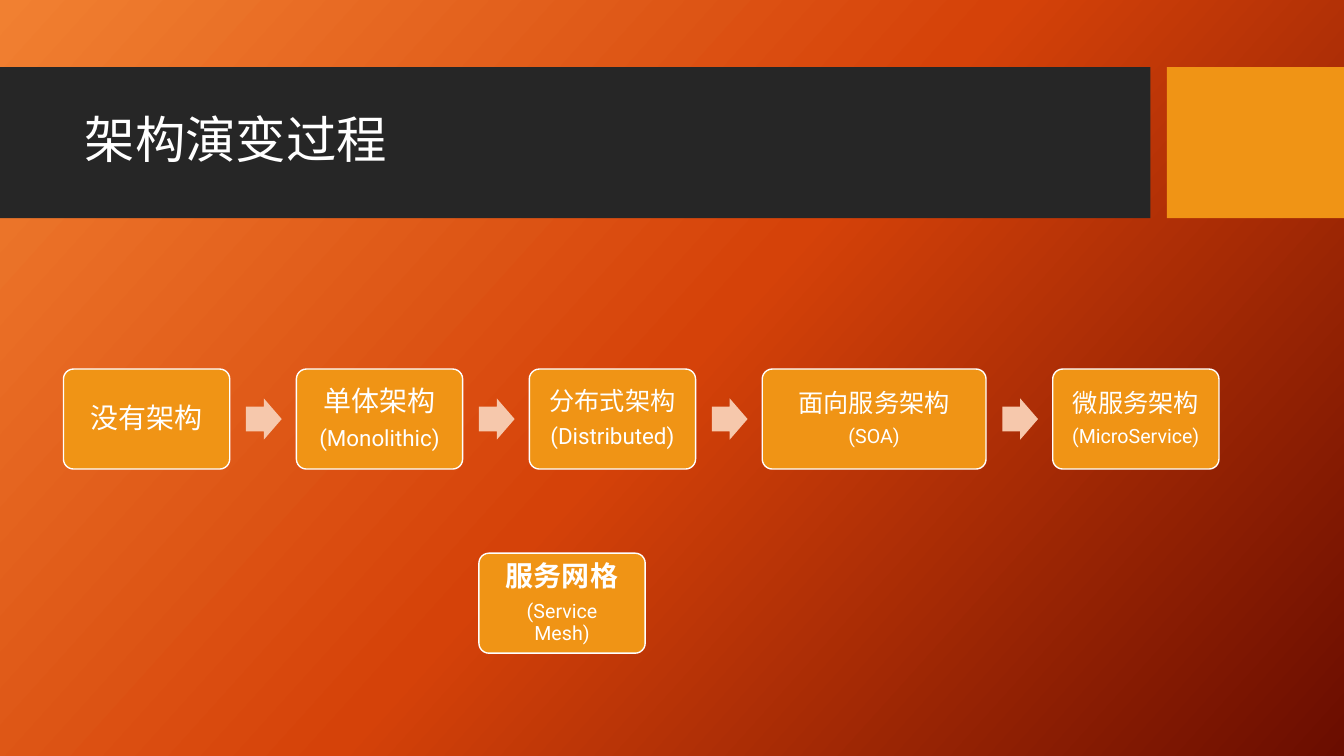
from copy import deepcopy

from pptx import Presentation
from pptx.dml.color import RGBColor
from pptx.enum.shapes import MSO_SHAPE as Shape
from pptx.enum.text import MSO_ANCHOR as Anchor, PP_ALIGN as Align
from pptx.oxml.ns import qn
from pptx.util import Cm, Pt

FONT = "Roboto"
WHITE = RGBColor(0xFF, 0xFF, 0xFF)
DARK = RGBColor(0x26, 0x26, 0x26)
AMBER = RGBColor(0xF0, 0x94, 0x15)
PEACH = RGBColor(0xF6, 0xC8, 0xAC)
BACKGROUND_STOPS = [
    (0, RGBColor(0xF1, 0x80, 0x31)),
    (0.5, RGBColor(0xD5, 0x42, 0x09)),
    (1, RGBColor(0x6A, 0x0D, 0x00)),
]

BOX_WIDTH = 4.19
BOX_HEIGHT = 2.52
WIDE_BOX_WIDTH = 5.64
ROW_LEFT = 1.6
ROW_TOP = 9.3
BOX_GAP = 1.68
ARROW_OFFSET = 0.41
ARROW_WIDTH = 0.9
ARROW_HEIGHT = 1.04

STAGES = [
    (BOX_WIDTH, [("没有架构", 20)]),
    (BOX_WIDTH, [("单体架构", 20), ("(Monolithic)", 16)]),
    (BOX_WIDTH, [("分布式架构", 18), ("(Distributed)", 16)]),
    (WIDE_BOX_WIDTH, [("面向服务架构", 18), ("(SOA)", 14)]),
    (BOX_WIDTH, [("微服务架构", 18), ("(MicroService)", 14)]),
]
SERVICE_MESH = [("服务网格", 20), ("(Service Mesh)", 14)]


def paint_background(slide):
    fill = slide.background.fill
    fill.gradient()
    fill.gradient_angle = 318
    stop_list = slide.element.find(".//" + qn("a:gsLst"))
    stop_list.insert(1, deepcopy(stop_list[0]))
    for stop, (position, color) in zip(fill.gradient_stops, BACKGROUND_STOPS):
        stop.position = position
        stop.color.rgb = color


def add_filled_shape(slide, kind, left, top, width, height, color):
    shape = slide.shapes.add_shape(kind, Cm(left), Cm(top), Cm(width), Cm(height))
    shape.shadow.inherit = False
    shape.fill.solid()
    shape.fill.fore_color.rgb = color
    shape.line.fill.background()
    return shape


def format_paragraph(paragraph, size):
    paragraph.line_spacing = 0.9
    paragraph.font.name = FONT
    paragraph.font.size = Pt(size)
    paragraph.font.color.rgb = WHITE


def add_title(slide, text):
    title = slide.shapes.title
    title.left, title.top, title.width, title.height = Cm(1.88), Cm(2.08), Cm(26.7), Cm(3)
    frame = title.text_frame
    frame.text = text
    frame.vertical_anchor = Anchor.MIDDLE
    paragraph = frame.paragraphs[0]
    paragraph.alignment = Align.LEFT
    format_paragraph(paragraph, 36)
    slide.shapes.element.append(title.element)


def add_stage_box(slide, left, top, width, lines, bold_heading=False):
    box = add_filled_shape(slide, Shape.ROUNDED_RECTANGLE, left, top, width, BOX_HEIGHT, AMBER)
    box.adjustments[0] = 0.1
    box.line.color.rgb = WHITE
    box.line.width = Pt(1)
    frame = box.text_frame
    frame.word_wrap = True
    frame.vertical_anchor = Anchor.MIDDLE
    frame.margin_left = frame.margin_right = Cm(0.41)
    frame.margin_top = frame.margin_bottom = 0
    for index, (text, size) in enumerate(lines):
        paragraph = frame.paragraphs[0] if index == 0 else frame.add_paragraph()
        paragraph.text = text
        paragraph.alignment = Align.CENTER
        paragraph.space_after = Pt(0.35 * size)
        format_paragraph(paragraph, size)
        paragraph.font.bold = bold_heading and index == 0


def add_stage_arrow(slide, left):
    top = ROW_TOP + (BOX_HEIGHT - ARROW_HEIGHT) / 2
    arrow = add_filled_shape(slide, Shape.RIGHT_ARROW, left, top, ARROW_WIDTH, ARROW_HEIGHT, PEACH)
    arrow.adjustments[0] = 0.6
    arrow.adjustments[1] = 0.5


def add_stage_row(slide):
    left = ROW_LEFT
    for index, (width, lines) in enumerate(STAGES):
        if index > 0:
            add_stage_arrow(slide, left - BOX_GAP + ARROW_OFFSET)
        add_stage_box(slide, left, ROW_TOP, width, lines)
        left += width + BOX_GAP


def main():
    presentation = Presentation()
    presentation.slide_width = Cm(33.87)
    presentation.slide_height = Cm(19.05)
    slide = presentation.slides.add_slide(presentation.slide_layouts[5])
    paint_background(slide)
    add_filled_shape(slide, Shape.RECTANGLE, 0, 1.69, 28.99, 3.81, DARK)
    add_filled_shape(slide, Shape.RECTANGLE, 29.41, 1.69, 4.46, 3.81, AMBER)
    add_title(slide, "架构演变过程")
    add_stage_row(slide)
    add_stage_box(slide, 12.07, 13.94, BOX_WIDTH, SERVICE_MESH, bold_heading=True)
    presentation.save("out.pptx")


if __name__ == "__main__":
    main()
